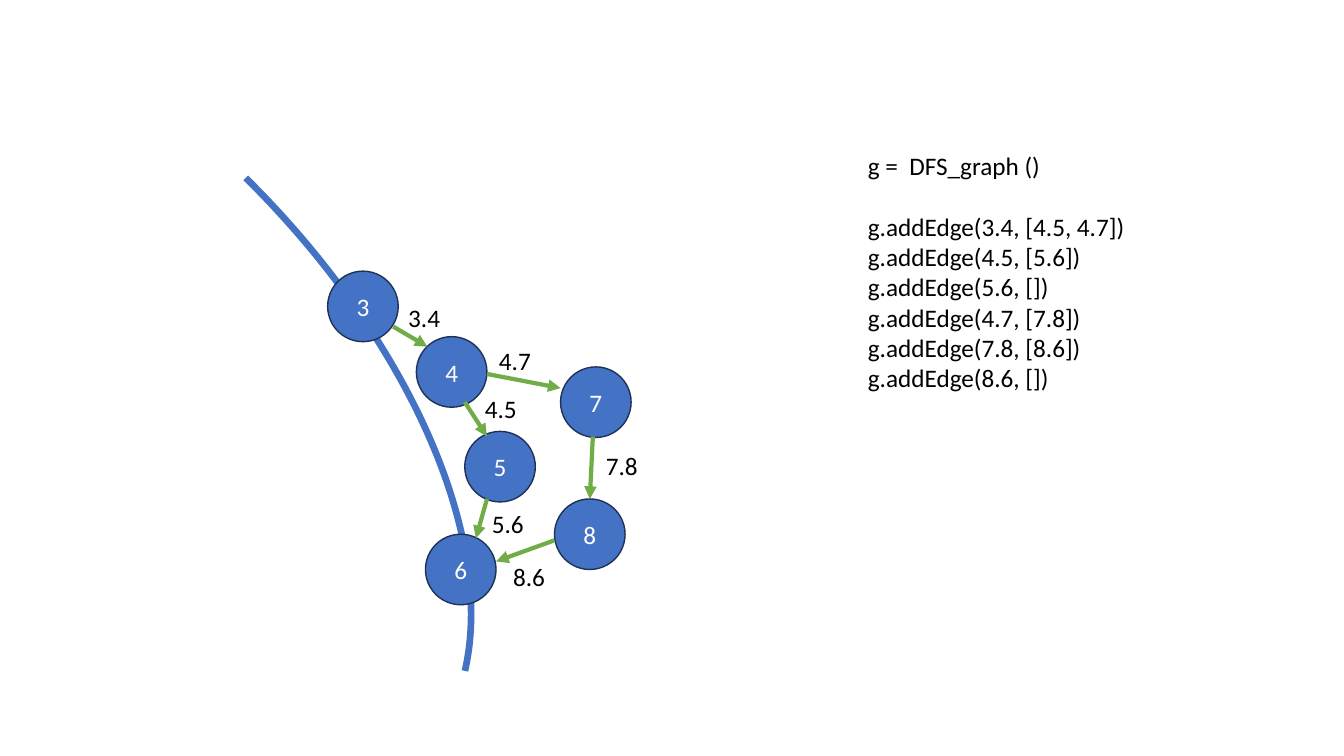
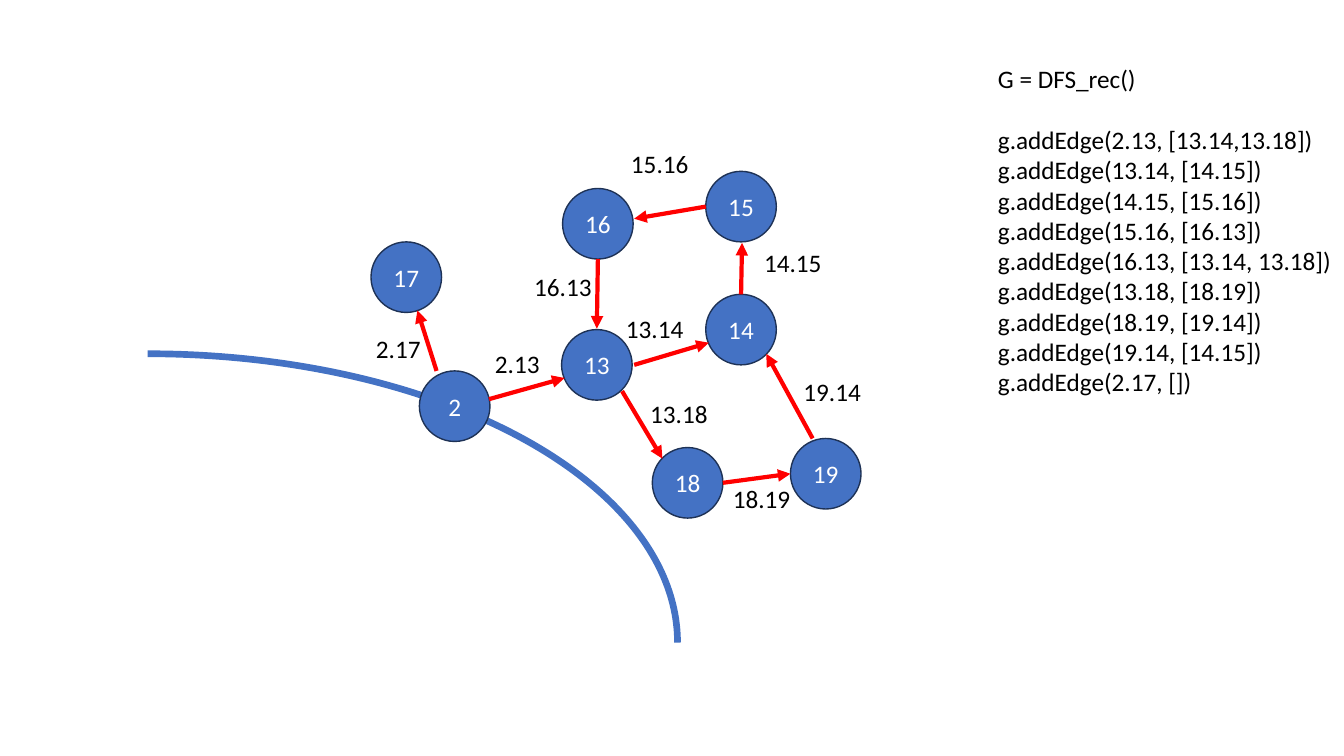
from lxml.etree import SubElement
from pptx import Presentation
from pptx.dml.color import RGBColor
from pptx.enum.shapes import MSO_CONNECTOR as CONN, MSO_SHAPE as SHAPE
from pptx.enum.text import MSO_ANCHOR as ANCHOR, MSO_AUTO_SIZE as AUTO, PP_ALIGN as ALIGN
from pptx.oxml.ns import qn
from pptx.util import Inches, Pt

BLUE, NAVY, GREEN, RED = "4472C4", "1E3256", "70AD47", "FF0000"
BLACK, WHITE = "000000", "FFFFFF"
FONT = {"name": "Calibri", "size": Pt(18)}
NODE = 0.7
ARC_SIZE = (10.51, 5.73)

GRAPHS = [
    {
        "arc": {"at": (-4.83, 0.94), "rotation": 44.6, "end": 209.79},
        "edge_color": GREEN,
        "nodes": {
            "3": (3.25, 2.69), "4": (4.13, 3.34), "5": (4.61, 4.28),
            "6": (4.22, 5.3), "7": (5.56, 3.64), "8": (5.5, 4.95),
        },
        "edges": [
            ("3.4", (3.9, 3.24), (4.24, 3.44), (3.95, 2.95)),
            ("4.5", (4.61, 3.99), (4.83, 4.33), (4.71, 3.85)),
            ("5.6", (4.83, 4.95), (4.72, 5.34), (4.78, 4.99)),
            ("4.7", (4.83, 3.71), (5.56, 3.85), (4.85, 3.38)),
            ("7.8", (5.88, 4.33), (5.85, 4.95), (5.91, 4.42)),
            ("8.6", (5.5, 5.36), (4.92, 5.57), (4.99, 5.52)),
        ],
        "code_box": (8.51, 1.44, 2.77, 2.52),
        "code": [
            "g =  DFS_graph ()",
            "g.addEdge(3.4, [4.5, 4.7])",
            "g.addEdge(4.5, [5.6])",
            "g.addEdge(5.6, [])",
            "g.addEdge(4.7, [7.8])",
            "g.addEdge(7.8, [8.6])",
            "g.addEdge(8.6, [])",
        ],
    },
    {
        "arc": {"at": (-3.79, 3.51), "rotation": 0, "end": 0},
        "edge_color": RED,
        "nodes": {
            "2": (4.16, 3.68), "13": (5.57, 3.27), "14": (7, 2.92), "15": (7, 1.7),
            "16": (5.58, 1.87), "17": (3.68, 2.4), "18": (6.47, 4.44), "19": (7.84, 4.35),
        },
        "edges": [
            ("2.13", (4.85, 3.96), (5.6, 3.75), (4.81, 3.41)),
            ("13.14", (6.29, 3.62), (7.03, 3.4), (6.11, 3.06)),
            ("2.17", (4.33, 3.68), (4.14, 3.08), (3.63, 3.26)),
            ("14.15", (7.35, 2.92), (7.36, 2.41), (7.48, 2.4)),
            ("15.16", (7, 2.05), (6.29, 2.17), (6.16, 1.42)),
            ("16.13", (5.93, 2.57), (5.92, 3.26), (5.2, 2.64)),
            ("13.18", (6.17, 3.88), (6.57, 4.55), (6.35, 3.9)),
            ("18.19", (7.17, 4.79), (7.84, 4.7), (7.17, 4.75)),
            ("19.14", (8.06, 4.35), (7.6, 3.51), (7.87, 3.68)),
        ],
        "code_box": (9.8, 0.58, 3.54, 3.43),
        "code": [
            "G = DFS_rec()",
            "g.addEdge(2.13, [13.14,13.18])",
            "g.addEdge(13.14, [14.15])",
            "g.addEdge(14.15, [15.16])",
            "g.addEdge(15.16, [16.13])",
            "g.addEdge(16.13, [13.14, 13.18])",
            "g.addEdge(13.18, [18.19])",
            "g.addEdge(18.19, [19.14])",
            "g.addEdge(19.14, [14.15])",
            "g.addEdge(2.17, [])",
        ],
    },
]


def rgb(color):
    return RGBColor.from_string(color)


def inches(*values):
    return [Inches(v) for v in values]


def set_line(line, color, width):
    line.color.rgb = rgb(color)
    line.width = Pt(width)


def write(p, text, color):
    r = p.add_run()
    r.text = text
    for name, value in FONT.items():
        setattr(r.font, name, value)
    r.font.color.rgb = rgb(color)


def add_arc(s, at, rotation, end):
    arc = s.shapes.add_shape(SHAPE.ARC, *inches(*at, *ARC_SIZE))
    arc.shadow.inherit = False
    arc.rotation = rotation
    arc.adjustments[1] = end
    arc.fill.background()
    set_line(arc.line, BLUE, 4.75)


def add_node(s, name, at):
    node = s.shapes.add_shape(SHAPE.OVAL, *inches(*at, NODE, NODE))
    node.shadow.inherit = False
    node.fill.solid()
    node.fill.fore_color.rgb = rgb(BLUE)
    set_line(node.line, NAVY, 1)
    tf = node.text_frame
    tf.vertical_anchor = ANCHOR.MIDDLE
    p = tf.paragraphs[0]
    p.alignment = ALIGN.CENTER
    write(p, name, WHITE)


def add_arrow(s, start, end, color):
    arrow = s.shapes.add_connector(CONN.STRAIGHT, *inches(*start, *end))
    set_line(arrow.line, color, 3)
    SubElement(arrow.line._get_or_add_ln(), qn("a:tailEnd"), type="triangle")
    SubElement(arrow._element.spPr, qn("a:effectLst"))


def add_text(s, box, lines):
    tf = s.shapes.add_textbox(*inches(*box)).text_frame
    tf.word_wrap = False
    tf.auto_size = AUTO.SHAPE_TO_FIT_TEXT
    for i, line in enumerate(lines):
        p = tf.add_paragraph() if i else tf.paragraphs[0]
        write(p, line, BLACK)
    return tf


def add_graph(prs, graph):
    s = prs.slides.add_slide(prs.slide_layouts[6])
    add_arc(s, **graph["arc"])
    for name, at in graph["nodes"].items():
        add_node(s, name, at)
    for label, start, end, label_at in graph["edges"]:
        add_arrow(s, start, end, graph["edge_color"])
        add_text(s, (*label_at, 0.13 * (len(label) + 1), 0.4), [label])
    code = add_text(s, graph["code_box"], graph["code"])
    code.paragraphs[0].space_after = Pt(22)


def main():
    prs = Presentation()
    prs.slide_width, prs.slide_height = inches(13.33, 7.5)
    for graph in GRAPHS:
        add_graph(prs, graph)
    prs.save("out.pptx")


if __name__ == "__main__":
    main()
